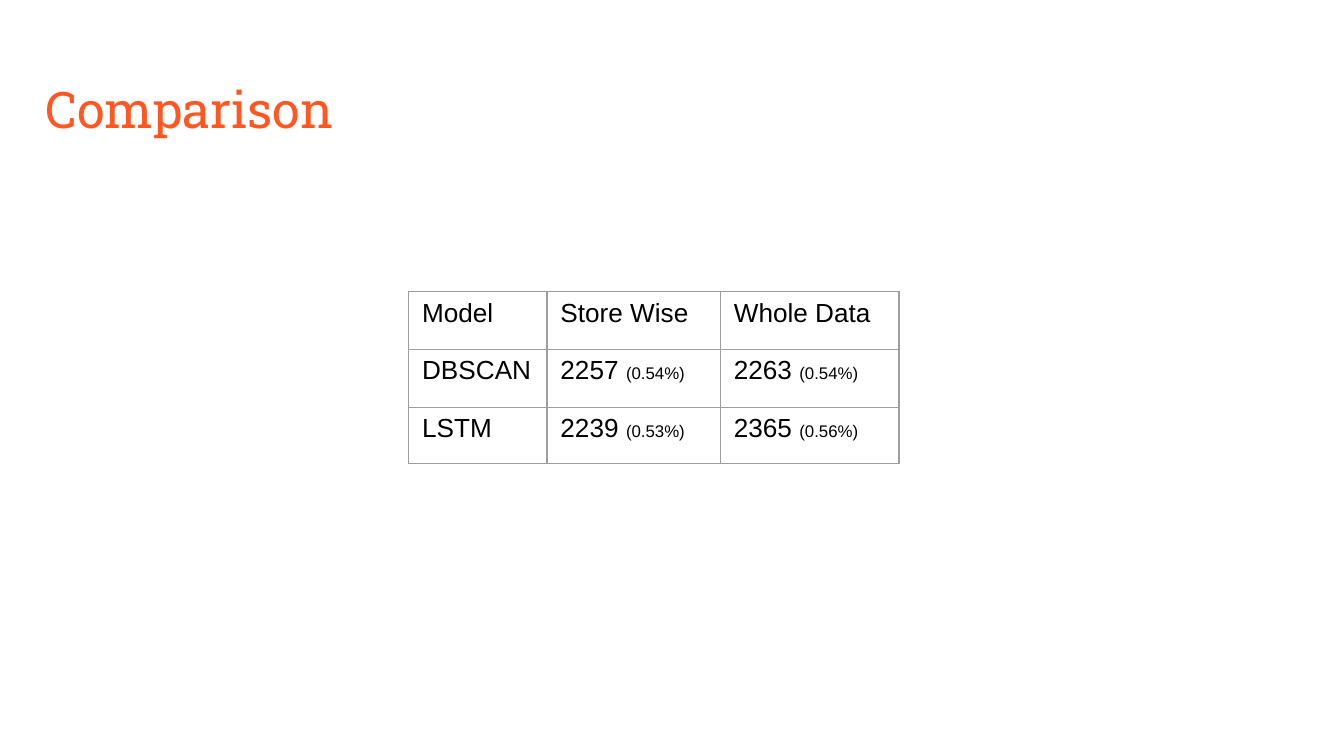
from lxml.etree import SubElement
from pptx import Presentation
from pptx.dml.color import RGBColor
from pptx.enum.text import MSO_ANCHOR as Anchor, PP_ALIGN as Align
from pptx.oxml.ns import qn
from pptx.util import Inches, Pt

TITLE = "Comparison"
ROWS = [
    [("Model",), ("Store Wise",), ("Whole Data",)],
    [("DBSCAN",), ("2257 ", "(0.54%)"), ("2263 ", "(0.54%)")],
    [("LSTM",), ("2239 ", "(0.53%)"), ("2365 ", "(0.56%)")],
]
COLUMN_WIDTHS = [1.03, 1.29, 1.33]
ROW_HEIGHTS = [0.43, 0.43, 0.42]
SPAN_SIZES = [14, 9]
COLORS = {"title": "FF5722", "text": "000000", "border": "9E9E9E"}


def style_font(font, name, size, color):
    font.name = name
    font.size = Pt(size)
    font.color.rgb = RGBColor.from_string(COLORS[color])


def add_borders(cell):
    properties = cell._tc.get_or_add_tcPr()
    for index, side in enumerate(("lnL", "lnR", "lnT", "lnB")):
        line = properties.makeelement(qn(f"a:{side}"), {"w": str(Pt(0.75))})
        fill = SubElement(line, qn("a:solidFill"))
        SubElement(fill, qn("a:srgbClr"), val=COLORS["border"])
        properties.insert(index, line)


def add_title(page):
    title = page.shapes.title
    title.left, title.top = Inches(0.34), Inches(0.49)
    title.width, title.height = Inches(4.14), Inches(0.63)
    frame = title.text_frame
    frame.margin_left = frame.margin_right = 0
    frame.margin_top = frame.margin_bottom = Inches(0.1)
    frame.vertical_anchor = Anchor.MIDDLE
    frame.text = TITLE
    para = frame.paragraphs[0]
    para.alignment = Align.LEFT
    style_font(para.font, "Roboto Slab", 27, "title")


def fill_cell(cell, texts):
    cell.fill.background()
    cell.margin_top = cell.margin_bottom = Inches(0.05)
    add_borders(cell)
    para = cell.text_frame.paragraphs[0]
    for text, size in zip(texts, SPAN_SIZES):
        span = para.add_run()
        span.text = text
        style_font(span.font, "Arial", size, "text")


def add_comparison(page):
    table = page.shapes.add_table(
        len(ROWS), len(COLUMN_WIDTHS), Inches(3.04), Inches(2.17),
        Inches(sum(COLUMN_WIDTHS)), Inches(sum(ROW_HEIGHTS))).table
    table.first_row = table.horz_banding = False
    for column, width in zip(table.columns, COLUMN_WIDTHS):
        column.width = Inches(width)
    for row, height, contents in zip(table.rows, ROW_HEIGHTS, ROWS):
        row.height = Inches(height)
        for cell, texts in zip(row.cells, contents):
            fill_cell(cell, texts)


deck = Presentation()
deck.slide_width = Inches(10)
deck.slide_height = deck.slide_width * 9 // 16
page = deck.slides.add_slide(deck.slide_layouts[5])
add_title(page)
add_comparison(page)
deck.save("out.pptx")
